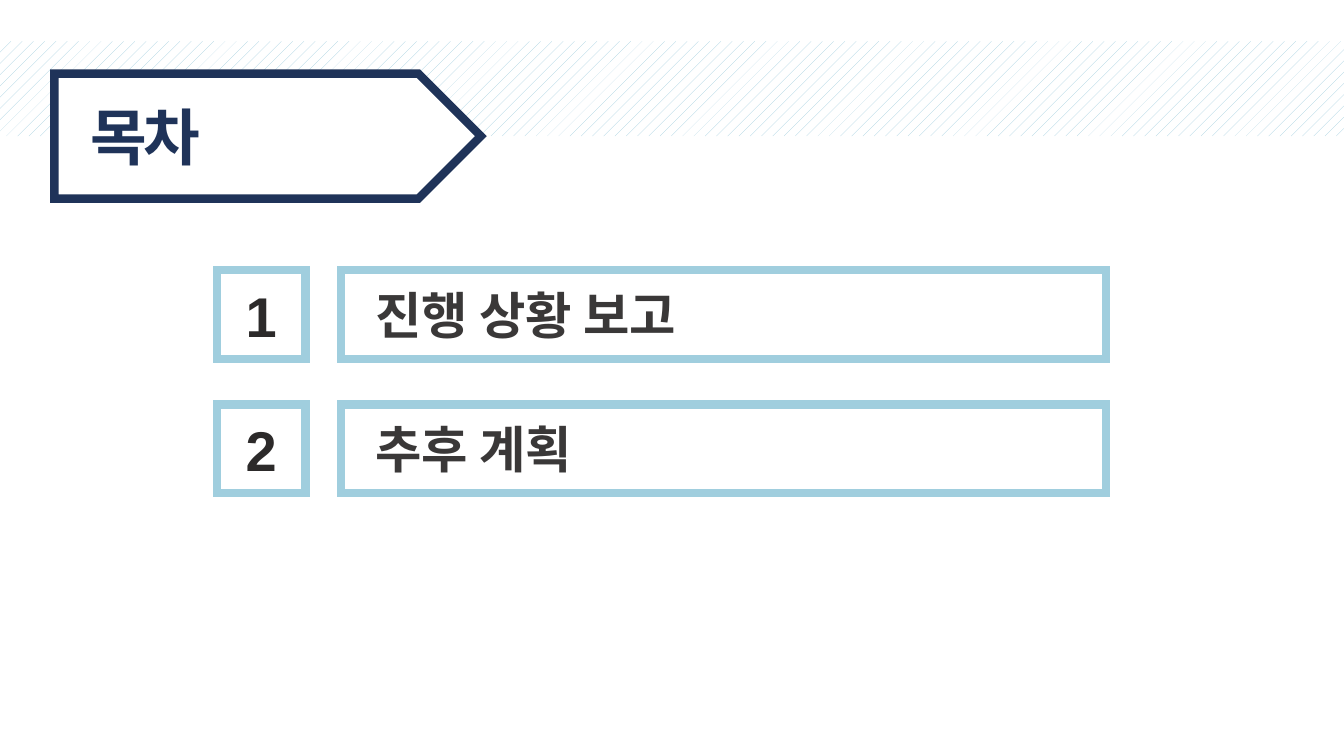
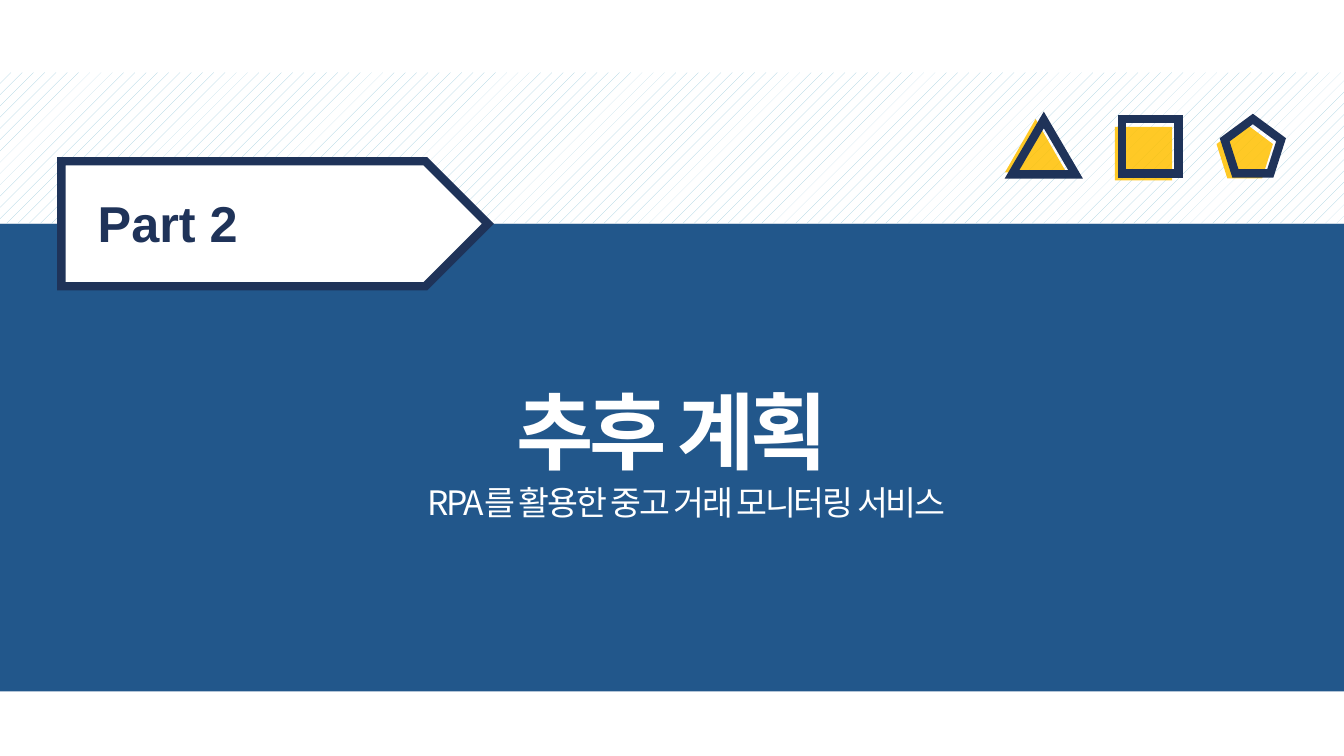
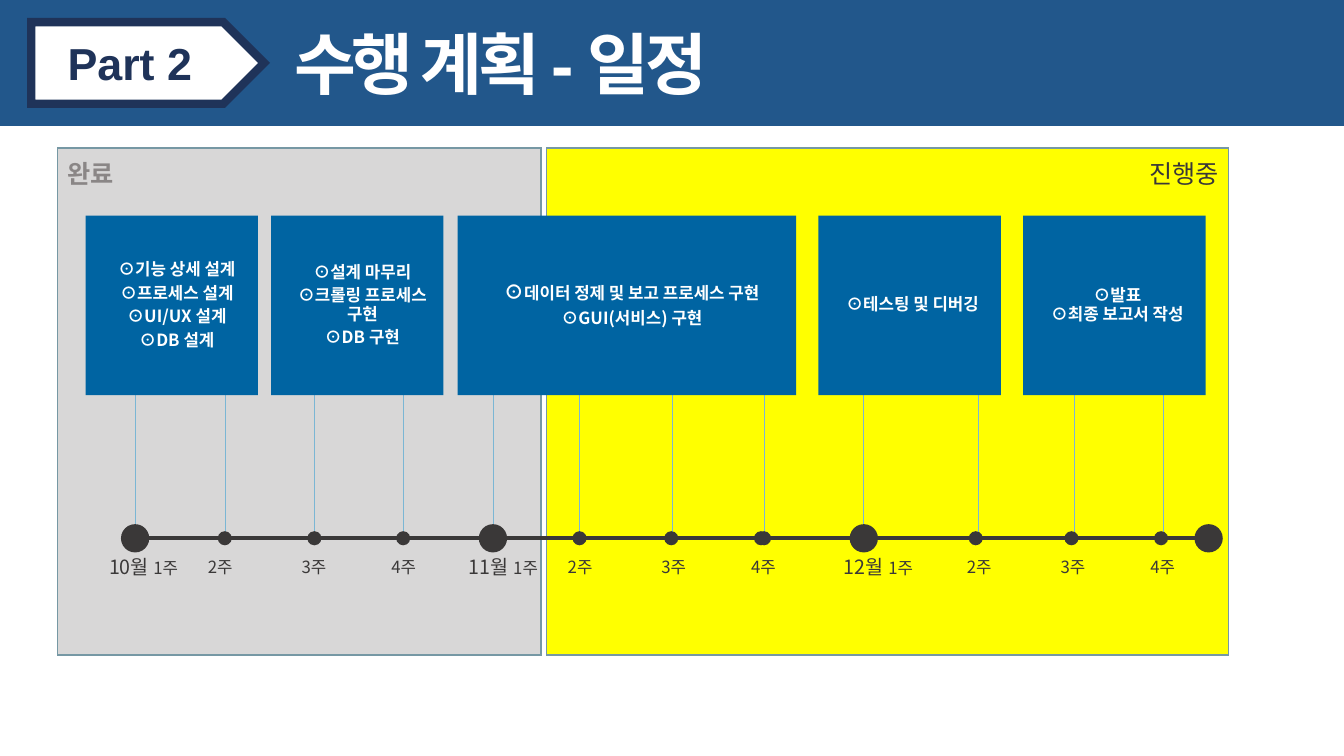
from copy import deepcopy
from dataclasses import dataclass

from pptx import Presentation
from pptx import util as u
from pptx.dml import color
from pptx.enum import dml, shapes, text
from pptx.oxml import ns
from pptx.oxml import xmlchemy as xml

SHAPE = shapes.MSO_SHAPE
ALIGN = text.PP_ALIGN
ANCHOR = text.MSO_ANCHOR


@dataclass(frozen=True)
class Theme:
    """Colours, fonts and type sizes shared by every slide."""
    navy: str = "1F3359"
    blue: str = "22578B"
    card: str = "0064A2"
    sky: str = "A0CEDE"
    stem: str = "7BB6D4"
    edge: str = "7698A4"
    amber: str = "FFC000"
    yellow: str = "FFFF00"
    grey: str = "D8D7D7"
    muted: str = "8A8686"
    dark: str = "3A3838"
    digit: str = "2C2A2A"
    white: str = "FFFFFF"
    latin: str = "Arial"
    korean: str = "Noto Sans CJK KR"
    cover: int = 60
    title: int = 48
    contents: int = 44
    number: int = 40
    heading: int = 36
    label: int = 32
    subtitle: int = 24
    status: int = 18
    month: int = 14
    small: int = 12
    outline: int = 6


THEME = Theme()


def rgb(value):
    """Turn a hex string into a colour."""
    return color.RGBColor.from_string(value)


def add_xml(parent, tag, **attributes):
    """Append a drawing element with its attributes."""
    child = xml.OxmlElement(tag)
    for name, value in attributes.items():
        child.set(name, value)
    parent.append(child)


def write(box, paras, size, ink, font=THEME.latin, bold=False, align=ALIGN.LEFT,
          anchor=ANCHOR.TOP, insets=(7.2, 3.6, 7.2, 3.6), wrap=True,
          spacing=None, before=0, tracking=0):
    """Fill a shape with paragraphs, each a string or a list of (text, size) spans."""
    frame = box.text_frame
    frame.auto_size = text.MSO_AUTO_SIZE.NONE
    frame.word_wrap = wrap
    frame.vertical_anchor = anchor
    (frame.margin_left, frame.margin_top,
     frame.margin_right, frame.margin_bottom) = map(u.Pt, insets)
    for index, content in enumerate(paras):
        para = frame.add_paragraph() if index else frame.paragraphs[0]
        para.alignment = align
        para.space_before = u.Pt(before)
        if spacing:
            para.line_spacing = spacing
        sizes = {}
        if isinstance(content, str):
            para.text = content
        else:
            for position, (words, span_size) in enumerate(content):
                para.add_run().text = words
                sizes[position] = span_size
        for position, span in enumerate(para.runs):
            span.font.name = font
            span.font.size = u.Pt(sizes.get(position, size))
            span.font.bold = bold
            span.font.color.rgb = rgb(ink)
            properties = span.font._element
            add_xml(properties, "a:ea", typeface=THEME.korean)
            if tracking:
                properties.set("spc", str(int(tracking * 100)))
        for line_break in para._p.findall(ns.qn("a:br")):
            line_break.append(deepcopy(para.runs[0].font._element))


class Painter:
    """Holds the style and the current slide, and draws each kind of element."""

    def __init__(self, theme):
        """Start a widescreen deck."""
        self.theme = theme
        self.deck = Presentation()
        self.deck.slide_width, self.deck.slide_height = u.Pt(960), u.Pt(540)
        self.page = None

    def new_page(self, layout):
        """Add a slide with the given layout."""
        self.page = self.deck.slides.add_slide(self.deck.slide_layouts[layout])

    def shape(self, kind, left, top, width, height, fill=None, line=None,
              weight=THEME.outline, opacity=None):
        """Draw a preset shape."""
        box = self.page.shapes.add_shape(kind, *map(u.Pt, (left, top, width, height)))
        box.shadow.inherit = False
        if fill:
            box.fill.solid()
            box.fill.fore_color.rgb = rgb(fill)
        else:
            box.fill.background()
        if opacity:
            paint = box._element.spPr.find(".//" + ns.qn("a:srgbClr"))
            add_xml(paint, "a:alpha", val=str(opacity * 1000))
        if line:
            box.line.color.rgb = rgb(line)
            box.line.width = u.Pt(weight)
            add_xml(box.line._ln, "a:miter", lim="800000")
        else:
            box.line.fill.background()
        return box

    def line(self, start, end, ink, weight):
        """Draw a straight line between two points."""
        rule = self.page.shapes.add_connector(
            shapes.MSO_CONNECTOR.STRAIGHT, *map(u.Pt, (*start, *end)))
        rule.line.color.rgb = rgb(ink)
        rule.line.width = u.Pt(weight)
        add_xml(rule._element.spPr, "a:effectLst")

    def dot(self, x, y, diameter):
        """Draw a dark dot around a centre."""
        self.shape(SHAPE.OVAL, x - diameter / 2, y - diameter / 2,
                   diameter, diameter, self.theme.dark)

    def band(self, top, height, fill):
        """Draw a plain full-width band."""
        return self.shape(SHAPE.RECTANGLE, 0, top, 960, height, fill)

    def hatched_band(self, top, height):
        """Draw a patterned full-width band."""
        paint = self.band(top, height, self.theme.white).fill
        paint.patterned()
        paint.pattern = dml.MSO_PATTERN.PERCENT_10
        paint.fore_color.rgb = rgb(self.theme.sky)
        paint.back_color.rgb = rgb(self.theme.white)

    def tag(self, left, top, width=304.6, height=89.3):
        """Draw the outlined arrow tag."""
        return self.shape(SHAPE.PENTAGON, left, top, width, height,
                          self.theme.white, self.theme.navy)

    def tag_label(self, box, words, size, drop):
        """Write a label in a tag."""
        write(box, [words], size, self.theme.navy, bold=True,
              insets=(25.9, drop, 0, 0))

    def placeholder(self, index, words, at, **style):
        """Move a placeholder to the front and fill it."""
        box = self.page.placeholders[index]
        box.left, box.top, box.width, box.height = map(u.Pt, at)
        box._element.getparent().append(box._element)
        write(box, [words], wrap=False, **style)

    def title(self, words, at, size, ink, align=ALIGN.LEFT):
        """Place the slide title."""
        self.placeholder(0, words, at, size=size, ink=ink, bold=True,
                         align=align, tracking=-3)

    def agenda_row(self, number, words, top):
        """Draw a numbered agenda entry."""
        theme = self.theme
        box = self.shape(SHAPE.RECTANGLE, 154.8, top, 63.4, 63.4, theme.white, theme.sky)
        write(box, [number], theme.number, theme.digit, bold=True,
              align=ALIGN.CENTER, anchor=ANCHOR.MIDDLE)
        box = self.shape(SHAPE.RECTANGLE, 243.4, top, 546.5, 63.4, theme.white, theme.sky)
        write(box, [words], theme.heading, theme.dark, bold=True,
              insets=(24.5, 10.1, 0, 0))

    def panel(self, words, left, width, fill, **style):
        """Draw a status area behind the timeline."""
        box = self.shape(SHAPE.RECTANGLE, left, 105.8, width, 362.2, fill,
                         self.theme.edge, 1)
        write(box, [words], self.theme.status, insets=(7.2, 7.5, 7.2, 0), **style)

    def card(self, left, width, inset, paras):
        """Draw a task card."""
        box = self.shape(SHAPE.RECTANGLE, left, 154.1, width, 128.2, self.theme.card)
        write(box, paras, self.theme.small, self.theme.white, self.theme.korean, True,
              ALIGN.CENTER, ANCHOR.MIDDLE, (inset, 3.6, 7.2, 3.6),
              spacing=0.9, before=4)

    def week(self, x, spans):
        """Write a week label centred below the axis."""
        width = 64
        box = self.page.shapes.add_textbox(*map(u.Pt, (x - width / 2, 395.3, width, 20.9)))
        write(box, [spans], self.theme.small, self.theme.dark, self.theme.korean,
              align=ALIGN.CENTER, anchor=ANCHOR.MIDDLE, insets=(0, 0, 0, 0),
              spacing=0.9, before=10)


MONTHS = ["10월 ", "11월 ", "12월 "]
STEMS = [96.5, 161.3, 224.6, 288, 352.1, 414, 480.2, 545.8, 617, 699.1, 767.5, 830.9]
DOTS = [96.5, 160.6, 224.6, 288, 352.1, 414, 479.5, 543.6, 617, 697, 765.4, 829.4]
LABELS = [102.6, 157.3, 224.3, 288.4, 359.6, 414.4, 481.3, 545.4,
          627.5, 699.5, 766.4, 830.5]
CARDS = [
    (61.2, 123.1, 14.4, ["⊙기능 상세 설계", "⊙프로세스 설계", "⊙UI/UX 설계", "⊙DB 설계"]),
    (193.7, 123.1, 14.4, ["⊙설계 마무리", "⊙크롤링 프로세스 구현", "⊙DB 구현"]),
    (326.9, 241.9, 14.4, [[("⊙", THEME.month), ("데이터 정제 및 보고 프로세스 구현", THEME.small)],
                          "⊙GUI(서비스) 구현"]),
    (584.6, 130.3, 11.5, ["⊙테스팅 및 디버깅"]),
    (730.8, 130.3, 11.5, ["⊙발표\v⊙최종 보고서 작성"]),
]
ICONS = [
    (SHAPE.ISOSCELES_TRIANGLE, (717.8, 85, 43.9, 38.2), (722.9, 85.7, 45.4, 38.9)),
    (SHAPE.RECTANGLE, (796.3, 90.7, 41, 38.2), (801.4, 85, 40.3, 38.9)),
    (SHAPE.REGULAR_PENTAGON, (869, 87.8, 40.3, 39.6), (874.8, 85, 40.3, 38.9)),
]


def contents_page(painter):
    """Build the table of contents."""
    painter.new_page(5)
    painter.hatched_band(29.5, 67.7)
    painter.tag(38.9, 52.6)
    painter.title("목차", (57.6, 67, 97.2, 60.5), THEME.contents, THEME.navy)
    for row, words in enumerate(["진행 상황 보고", "추후 계획"]):
        painter.agenda_row(str(row + 1), words, 193 + row * 95.8)


def divider_page(painter):
    """Build the part divider."""
    painter.new_page(0)
    painter.band(159.8, 334, THEME.blue)
    painter.hatched_band(51.8, 107.8)
    painter.tag_label(painter.tag(43.9, 115.2), "Part 2", THEME.heading, 22.3)
    for kind, filled, outlined in ICONS:
        painter.shape(kind, *filled, fill=THEME.amber, opacity=85)
        painter.shape(kind, *outlined, line=THEME.navy)
    painter.title("추후 계획", (350.6, 267.1, 258.5, 79.9), THEME.cover, THEME.white,
                  ALIGN.CENTER)
    painter.placeholder(1, "RPA를 활용한 중고 거래 모니터링 서비스", (254.2, 340.6, 428.4, 36),
                        size=THEME.subtitle, ink=THEME.white, font=THEME.korean,
                        align=ALIGN.RIGHT, tracking=-1.5)


def schedule_page(painter):
    """Build the schedule timeline."""
    axis = 384.5
    painter.new_page(5)
    painter.panel("진행중", 390.2, 487.4, THEME.yellow, ink=THEME.dark, align=ALIGN.RIGHT)
    painter.panel("완료", 41, 345.6, THEME.grey, ink=THEME.muted, bold=True)
    painter.band(0, 90, THEME.blue)
    painter.tag_label(painter.tag(22.3, 15.8, 166.3, 58.3), "Part 2", THEME.label, 9.4)
    painter.title("수행 계획 - 일정", (203, 12.2, 344.9, 65.5), THEME.title, THEME.white)
    for x in STEMS:
        painter.line((x, axis), (x, 282.2), THEME.stem, 0.5)
    painter.line((DOTS[0], axis), (863.3, axis), THEME.dark, 2.84)
    for index, x in enumerate(DOTS):
        painter.dot(x, axis, 10.1 if index % 4 else 20.2)
    painter.dot(STEMS[7], axis, 10.1)
    painter.dot(863.3, axis, 20.2)
    for card in CARDS:
        painter.card(*card)
    for index, x in enumerate(LABELS):
        month, week = divmod(index, 4)
        spans = [(f"{week + 1}주", THEME.small)]
        if week == 0:
            spans.insert(0, (MONTHS[month], THEME.month))
        painter.week(x, spans)


def main():
    """Build and save the deck."""
    painter = Painter(THEME)
    contents_page(painter)
    divider_page(painter)
    schedule_page(painter)
    painter.deck.save("out.pptx")


if __name__ == "__main__":
    main()
